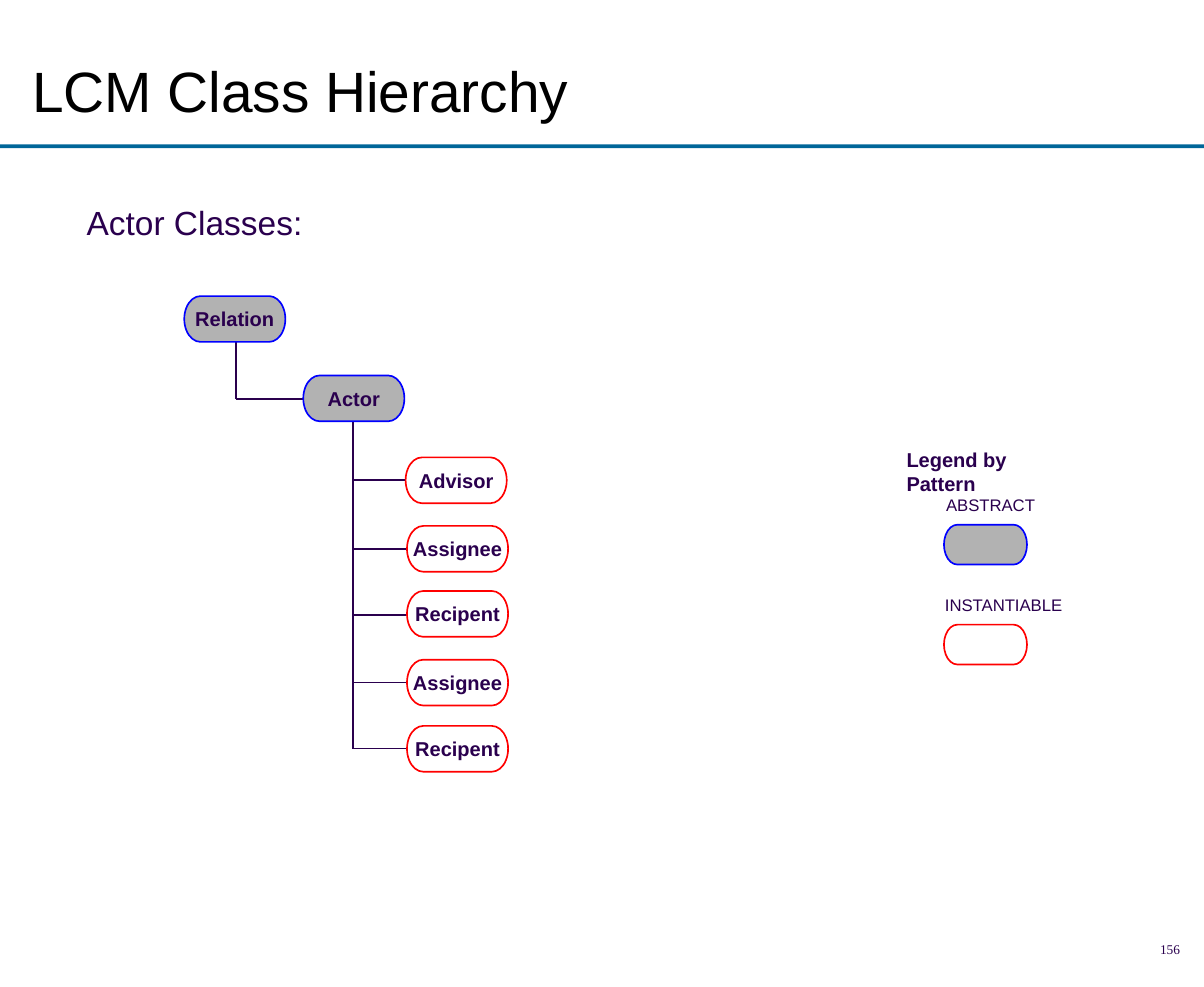
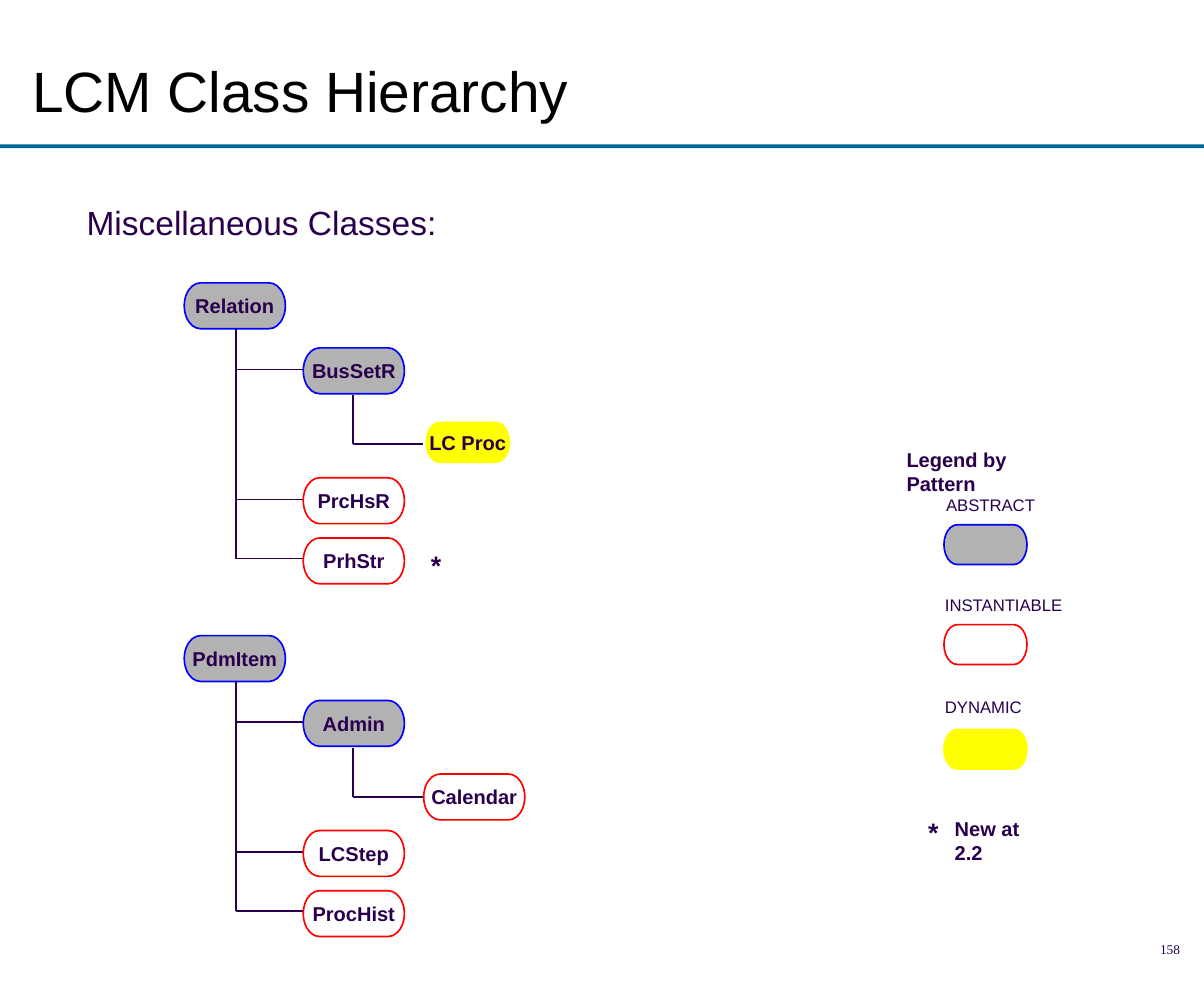
"""Build two class hierarchy slides with tree diagrams and a legend."""
from lxml.etree import SubElement
from pptx import Presentation
from pptx.dml.color import RGBColor
from pptx.enum.shapes import MSO_CONNECTOR, MSO_SHAPE
from pptx.enum.text import MSO_ANCHOR, MSO_AUTO_SIZE, PP_ALIGN
from pptx.oxml.ns import qn
from pptx.util import Pt

COLORS = {"ink": "2A004E", "title": "000000", "band": "006699", "gray": "B2B2B2",
          "blue": "0000FF", "red": "FF0000", "yellow": "FFFF00"}
KINDS = {"abstract": ("gray", "blue"), "instantiable": (None, "red"),
         "dynamic": ("yellow", "yellow")}
FONTS = {
    "title": {"name": "Arial", "size": Pt(34), "bold": False},
    "heading": {"name": "Arial", "size": Pt(20), "bold": False},
    "node": {"name": "Arial", "size": Pt(12), "bold": True},
    "key": {"name": "Arial", "size": Pt(10), "bold": False},
    "star": {"name": "Arial", "size": Pt(16), "bold": True},
    "number": {"name": "Times New Roman", "size": Pt(8), "bold": False},
}
NODE, SMALL = (60.5, 27.4), (49.7, 23.8)
SHIFT = 211


def write(sp, text, font, color="ink", **frame):
    tf = sp.text_frame
    for name, value in frame.items():
        setattr(tf, name, value)
    p = tf.paragraphs[0]
    r = p.add_run()
    r.text = text
    for name, value in FONTS[font].items():
        setattr(r.font, name, value)
    r.font.color.rgb = RGBColor.from_string(COLORS[color])
    return p


def pill(s, kind, x, y, size):
    fill, line = KINDS[kind]
    sp = s.shapes.add_shape(MSO_SHAPE.FLOWCHART_TERMINATOR, Pt(x), Pt(y), *map(Pt, size))
    sp.shadow.inherit = False
    if fill:
        sp.fill.solid()
        sp.fill.fore_color.rgb = RGBColor.from_string(COLORS[fill])
    else:
        sp.fill.background()
    sp.line.color.rgb = RGBColor.from_string(COLORS[line])
    sp.line.width = Pt(1)
    return sp


relation_tree = [
    ("abstract", 110.2, 169.2, "Relation"),
    ("abstract", 181.4, 208.1, "BusSetR"),
    ("dynamic", 254.9, 252.7, "LC Proc"),
    ("instantiable", 181.4, 285.8, "PrcHsR"),
    ("instantiable", 181.4, 321.8, "PrhStr"),
]
item_tree = [
    ("abstract", 110.2, 380.2, "PdmItem"),
    ("abstract", 181.4, 419, "Admin"),
    ("instantiable", 253.4, 463, "Calendar"),
    ("instantiable", 181.4, 496.8, "LCStep"),
    ("instantiable", 181.4, 532.8, "ProcHist"),
]
actor_tree = [
    ("abstract", 110.2, 177.1, "Relation"),
    ("abstract", 181.4, 224.6, "Actor"),
    ("instantiable", 242.6, 273.6, "Advisor"),
    ("instantiable", 243.4, 314.6, "Assignee"),
    ("instantiable", 243.4, 353.5, "Recipent"),
    ("instantiable", 243.4, 394.6, "Assignee"),
    ("instantiable", 243.4, 434.2, "Recipent"),
]
actor_trunks = [
    (141.1, 203.8, 182, [238.5]),
    (211, 252.7, 243, [287.3, 328.3, 367.9, 408.2, 447.8]),
]
misc_trunks = [
    (x, top + dy, end, [y + dy for y in ys])
    for dy in (0, SHIFT)
    for x, top, end, ys in [(141.1, 195.8, 181.5, [221, 298.8, 334.1]),
                            (211, 236.2, 252.7, [265.7])]
]
legend = [
    ("abstract", 558.7, 292.3, 67.7, 313.9),
    ("instantiable", 558, 352.1, 85, 373.7),
    ("dynamic", 558, 413.3, 60.5, 436.3),
]
legend_title = ("Legend by Pattern", "node", 535, 264.2, 118.8, 21.6)
new_notes = [
    ("*", "star", 547.9, 484.6, 20.2, 26.6),
    ("New at 2.2", "node", 563.8, 484.6, 72.7, 21.6),
    ("*", "star", 250.6, 324.7, 20.2, 26.6),
]
slides = [
    ("Actor Classes:", "156", actor_tree, actor_trunks, legend[:2], [legend_title]),
    ("Miscellaneous Classes:", "158", relation_tree + item_tree, misc_trunks, legend,
     [legend_title] + new_notes),
]

prs = Presentation()
prs.slide_width, prs.slide_height = Pt(720), Pt(590.4)

for heading, number, nodes, trunks, keys, notes in slides:
    s = prs.slides.add_slide(prs.slide_layouts[6])

    band = s.shapes.add_shape(MSO_SHAPE.RECTANGLE, Pt(0), Pt(86.4), Pt(720), Pt(2.2))
    band.shadow.inherit = False
    band.fill.solid()
    band.fill.fore_color.rgb = RGBColor.from_string(COLORS["band"])
    band.line.fill.background()

    sp = s.shapes.add_textbox(Pt(12.2), Pt(6.5), Pt(588.2), Pt(98.6))
    p = write(sp, "LCM Class Hierarchy", "title", "title",
              word_wrap=True, vertical_anchor=MSO_ANCHOR.MIDDLE)
    p.line_spacing = 0.95

    sp = s.shapes.add_textbox(Pt(8.6), Pt(101.5), Pt(689), Pt(59))
    write(sp, heading, "heading", word_wrap=True, margin_left=Pt(43.2), margin_top=Pt(19.6))

    sp = s.shapes.add_textbox(Pt(563), Pt(548.6), Pt(149.8), Pt(38.9))
    p = write(sp, number, "number", word_wrap=True, vertical_anchor=MSO_ANCHOR.MIDDLE)
    p.alignment = PP_ALIGN.RIGHT

    for x, top, end, ys in trunks:
        lines = [(x, top, x, ys[-1])] + [(x, y, end, y) for y in ys]
        for points in lines:
            c = s.shapes.add_connector(MSO_CONNECTOR.STRAIGHT, *map(Pt, points))
            c.line.color.rgb = RGBColor.from_string(COLORS["ink"])
            c.line.width = Pt(1)
            SubElement(c._element.spPr, qn("a:effectLst"))

    for kind, x, y, label in nodes:
        sp = pill(s, kind, x, y, SMALL if kind == "dynamic" else NODE)
        p = write(sp, label, "node", word_wrap=False, vertical_anchor=MSO_ANCHOR.MIDDLE,
                  margin_left=0, margin_right=0, margin_top=0, margin_bottom=0)
        p.alignment = PP_ALIGN.CENTER

    for kind, x, y, w, pill_y in keys:
        pill(s, kind, 564.5, pill_y, SMALL)
        sp = s.shapes.add_textbox(Pt(x), Pt(y), Pt(w), Pt(19.4))
        write(sp, kind.upper(), "key", word_wrap=False, auto_size=MSO_AUTO_SIZE.SHAPE_TO_FIT_TEXT)

    for text, font, *box in notes:
        sp = s.shapes.add_textbox(*map(Pt, box))
        write(sp, text, font, word_wrap=False, auto_size=MSO_AUTO_SIZE.SHAPE_TO_FIT_TEXT)

prs.save("out.pptx")
